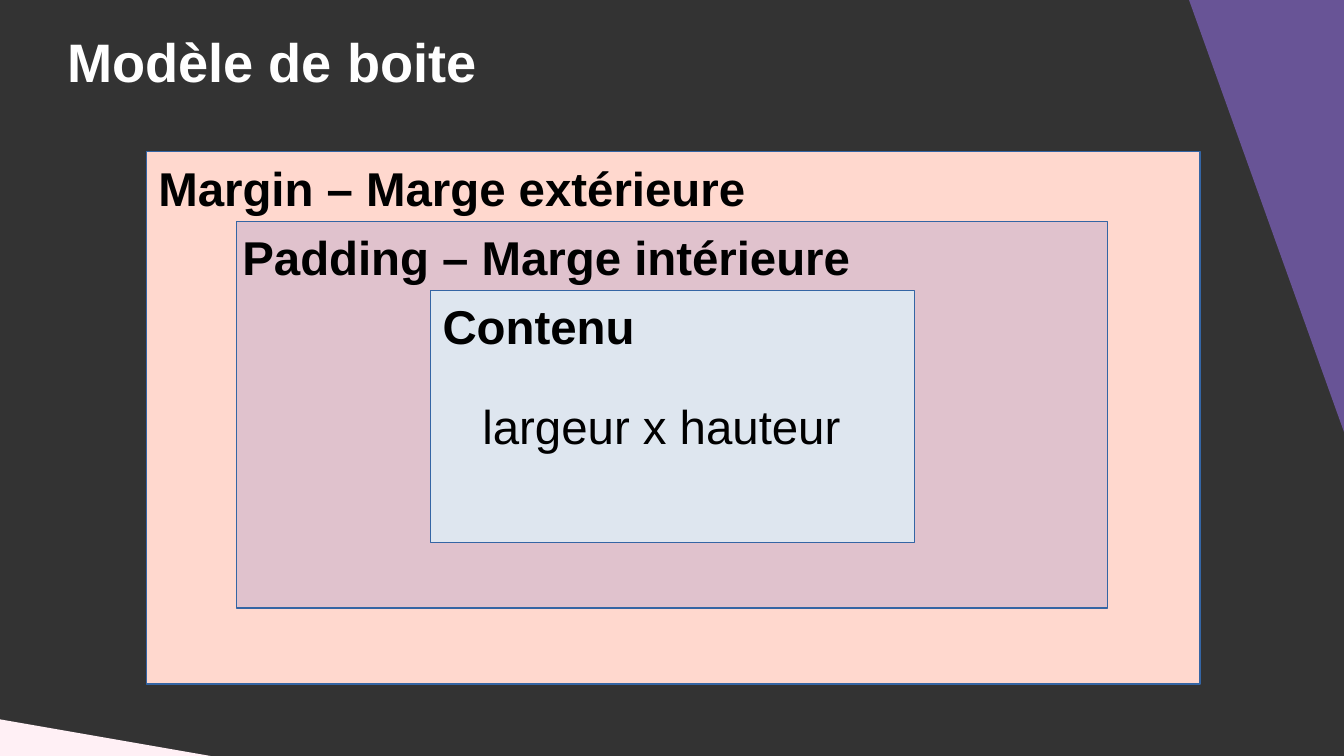
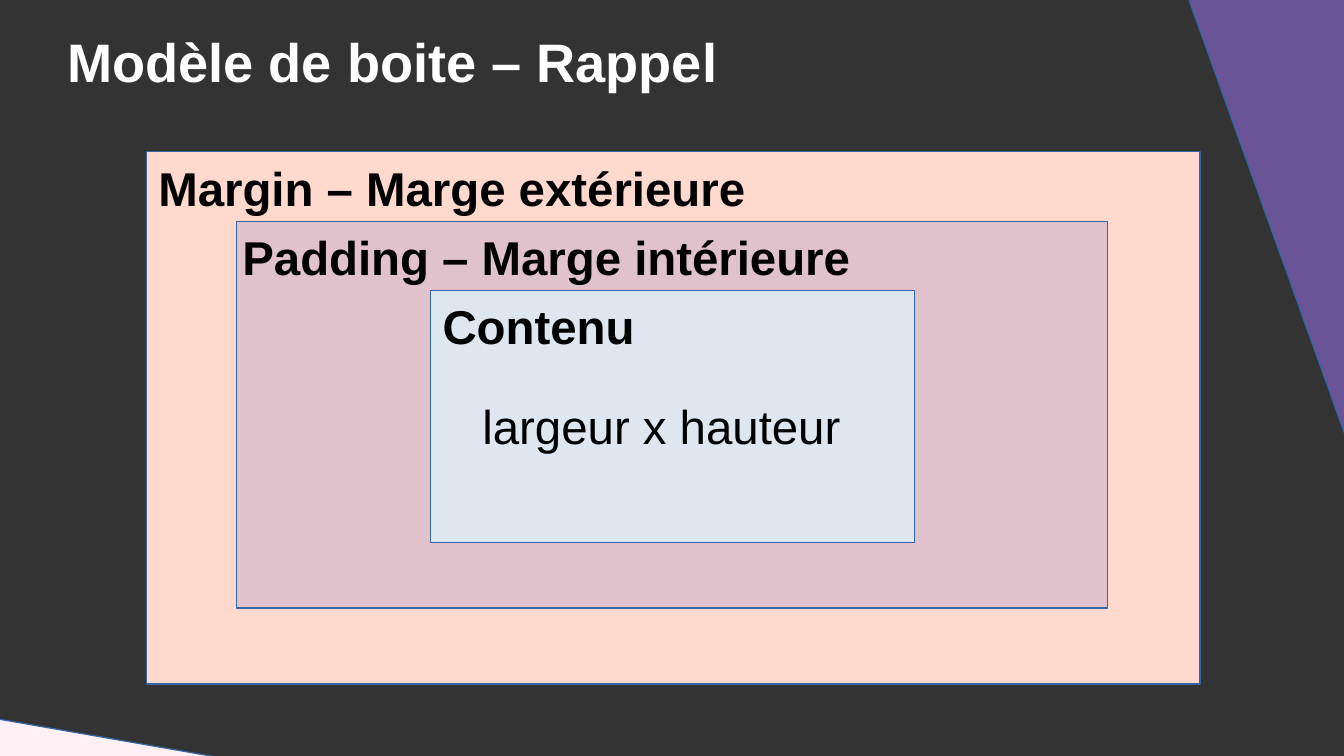
"""Build two slides that show the CSS box model."""
from pptx import Presentation
from pptx.dml.color import RGBColor
from pptx.enum.shapes import MSO_SHAPE as SHAPE
from pptx.enum.text import MSO_ANCHOR as ANCHOR, MSO_AUTO_SIZE as AUTO, PP_ALIGN as ALIGN
from pptx.util import Cm, Pt

COLORS = {
    "background": "333333", "purple": "685496", "pink": "FFF0F5",
    "margin": "FFD8CE", "padding": "E0C2CD", "content": "DEE6EF",
    "line": "3465A4", "title": "FFFFFF", "text": "000000",
}
FONT = "Arial"
TITLES = ["Modèle de boite", "Modèle de boite – Rappel"]
BOXES = [
    ("margin", (3.05, 3.15, 21.95, 11.1), "Margin – Marge extérieure", (3.05, 3.18)),
    ("padding", (4.93, 4.62, 18.14, 8.05), "Padding – Marge intérieure", (4.8, 4.62)),
    ("content", (8.97, 6.05, 10.08, 5.26), "Contenu", (8.97, 6.05)),
]


def set_text(sp, text, size=28, bold=True, color="text", inset=(0.25, 0.13), anchor=ANCHOR.TOP):
    tf = sp.text_frame
    tf.word_wrap = True
    tf.auto_size = AUTO.SHAPE_TO_FIT_TEXT
    tf.vertical_anchor = anchor
    tf.margin_left = tf.margin_right = Cm(inset[0])
    tf.margin_top = tf.margin_bottom = Cm(inset[1])
    p = tf.paragraphs[0]
    p.alignment = ALIGN.LEFT
    r = p.add_run()
    r.text = text
    r.font.name = FONT
    r.font.size = Pt(size)
    r.font.bold = bold
    r.font.color.rgb = RGBColor.from_string(COLORS[color])


def add_filled(s, kind, box, color, outlined=True):
    sp = s.shapes.add_shape(kind, *map(Cm, box))
    sp.shadow.inherit = False
    sp.fill.solid()
    sp.fill.fore_color.rgb = RGBColor.from_string(COLORS[color])
    if outlined:
        sp.line.color.rgb = RGBColor.from_string(COLORS["line"])
        sp.line.width = Pt(0)
    else:
        sp.line.fill.background()
    return sp


prs = Presentation()
prs.slide_width, prs.slide_height = Cm(28), Cm(15.75)
fill = prs.slide_master.background.fill
fill.solid()
fill.fore_color.rgb = RGBColor.from_string(COLORS["background"])
layout = prs.slide_layouts[5]

for number, heading in enumerate(TITLES):
    s = prs.slides.add_slide(layout)
    outlined = number > 0
    corner = add_filled(s, SHAPE.RIGHT_TRIANGLE, (24.28, -1.37, 3.91, 10.9), "purple", outlined)
    corner.rotation = 180
    add_filled(s, SHAPE.RIGHT_TRIANGLE, (-1.88, 14.66, 17.53, 3.05), "pink", outlined)

    for color, box, label, (left, top) in BOXES:
        add_filled(s, SHAPE.RECTANGLE, box, color)
        set_text(s.shapes.add_textbox(Cm(left), Cm(top), Cm(16.8), Cm(1.35)), label)

    title = s.shapes.title
    title.left, title.top, title.width, title.height = Cm(1.4), Cm(0.64), Cm(25.2), Cm(1.27)
    set_text(title, heading, size=32, color="title", inset=(0, 0), anchor=ANCHOR.MIDDLE)

    size_box = s.shapes.add_textbox(Cm(9.8), Cm(8.15), Cm(8.41), Cm(1.35))
    set_text(size_box, "largeur x hauteur", bold=False)

prs.save("out.pptx")
